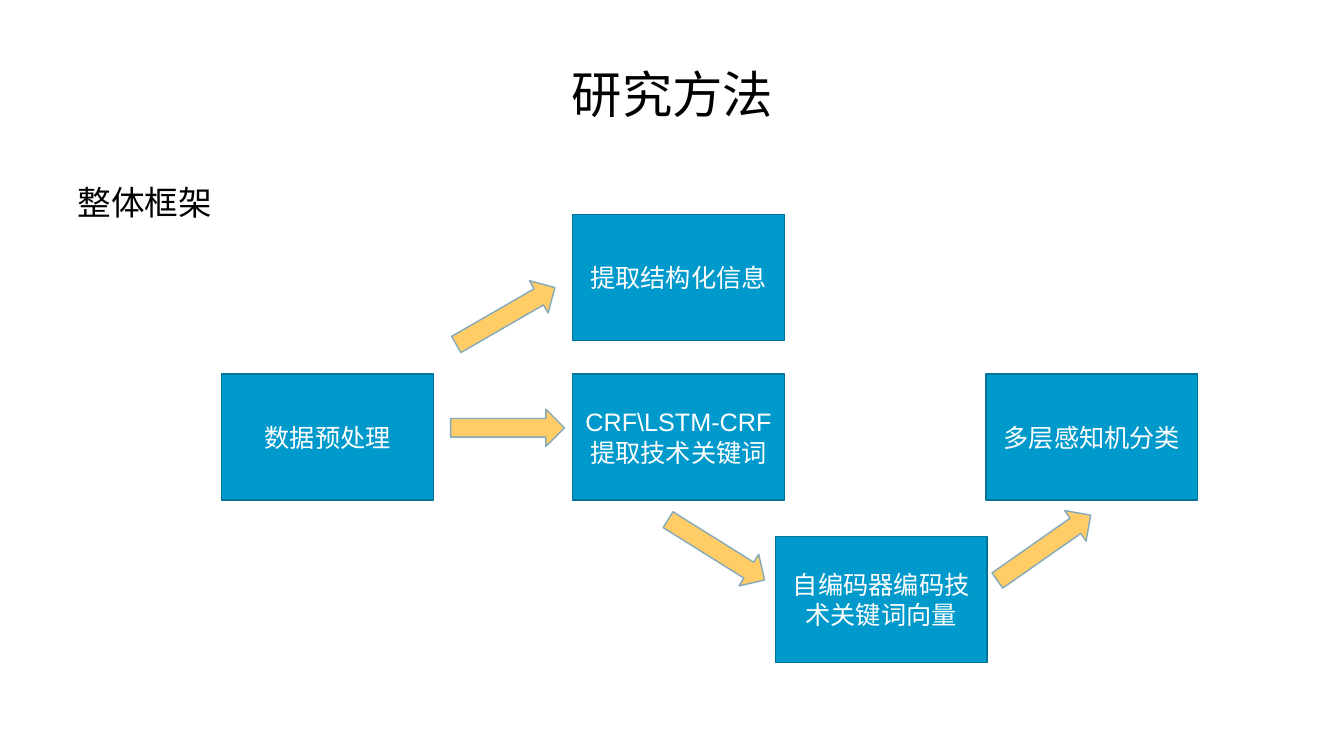
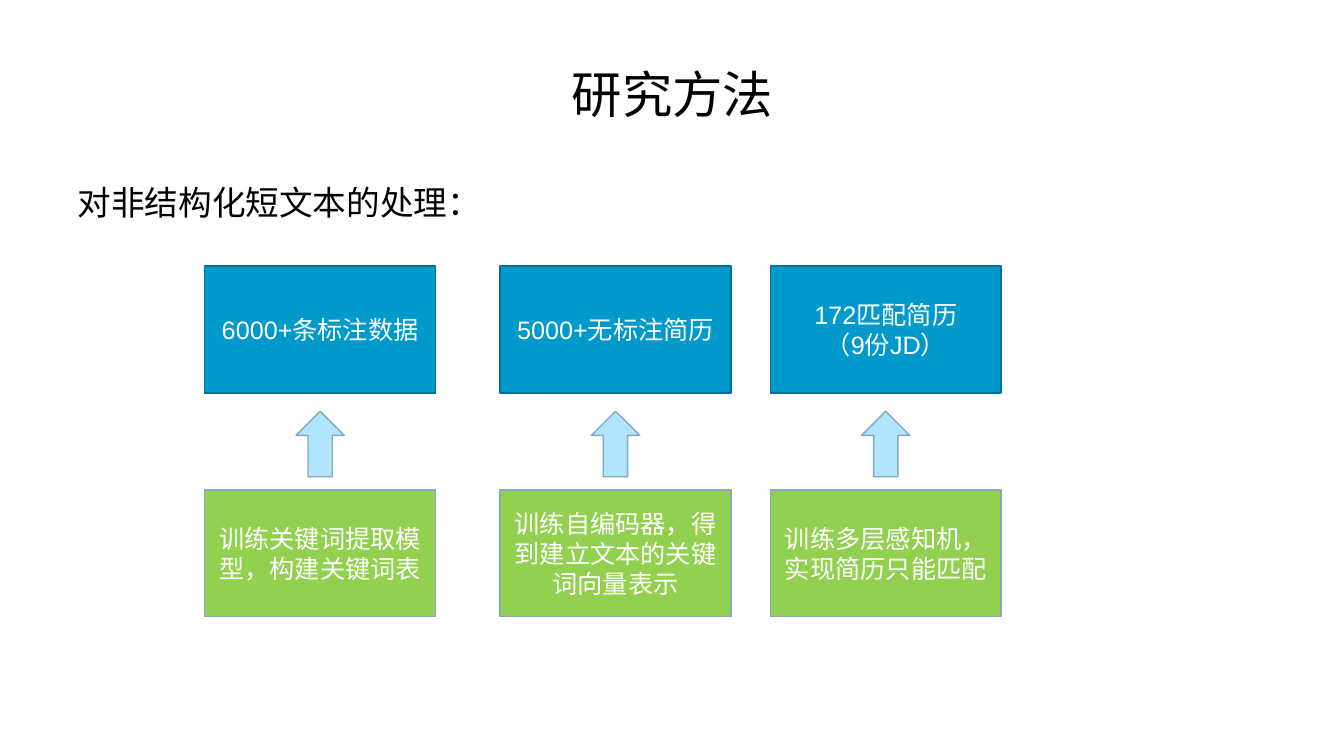
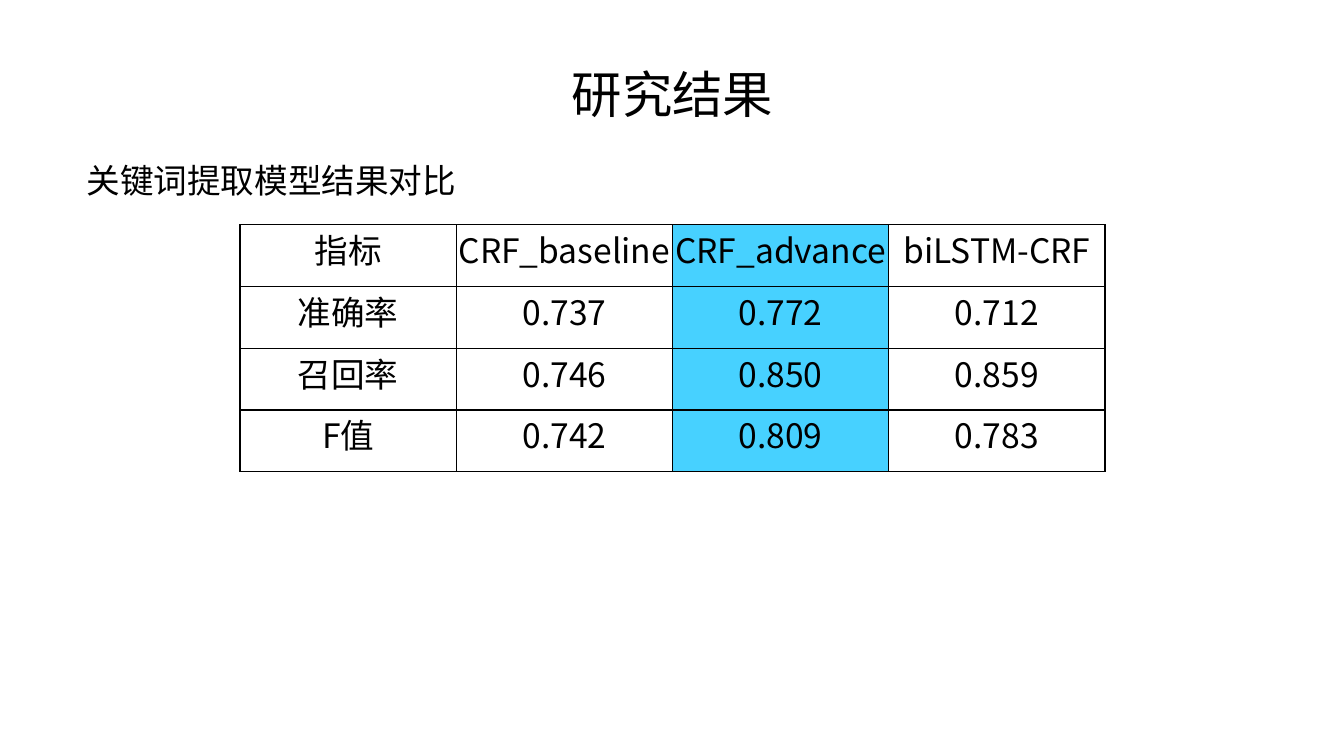
from lxml.etree import SubElement
from pptx import Presentation
from pptx.dml.color import RGBColor
from pptx.enum.shapes import MSO_SHAPE as Preset
from pptx.enum.text import MSO_ANCHOR as Anchor, MSO_AUTO_SIZE as AutoSize, PP_ALIGN as Align
from pptx.oxml.ns import qn
from pptx.util import Inches, Pt

# Shared look: (fill, outline) pairs and text formats
BLUE_BOX = ("0099CC", "007197")
GREEN_BOX = ("92D050", "83A9BD")
ORANGE_ARROW = ("FFCC66", "83A9BD")
PALE_ARROW = ("B1E4FF", "83A9BD")
WHITE, BLACK, HIGHLIGHT = "FFFFFF", "000000", "47D1FF"

TITLE_FONT = {"name": "Arial", "size": Pt(36)}
BODY_FONT = {"name": "Arial", "size": Pt(24)}
BOX_FONT = {"name": "Arial", "size": Pt(18)}
TABLE_FONT = {"name": "Noto Sans CJK SC", "size": Pt(24)}

TITLE_AREA = (0.67, 0.3, 12, 1.25)
TITLE_AND_BODY, TITLE_ONLY = 1, 5  # layout numbers


def paint(color_format, color):
    color_format.rgb = RGBColor.from_string(color)


def set_attributes(target, values):
    for name, value in values.items():
        setattr(target, name, value)


def place(shape, left, top, width, height):
    set_attributes(shape, {
        "left": Inches(left), "top": Inches(top),
        "width": Inches(width), "height": Inches(height)})


def write(text_frame, text, font, color, align):
    text_frame.text = text
    for paragraph in text_frame.paragraphs:
        paragraph.alignment = align
        set_attributes(paragraph.font, font)
        paint(paragraph.font.color, color)


def add_titled_slide(presentation, layout, title):
    slide = presentation.slides.add_slide(presentation.slide_layouts[layout])
    place(slide.shapes.title, *TITLE_AREA)
    frame = slide.shapes.title.text_frame
    write(frame, title, TITLE_FONT, BLACK, Align.CENTER)
    frame.vertical_anchor = Anchor.MIDDLE
    return slide


def fill_body(slide, text, area):
    body = slide.placeholders[1]
    place(body, *area)
    write(body.text_frame, text, BODY_FONT, BLACK, Align.LEFT)
    # Plain text without bullet or hanging indent
    for paragraph in body.text_frame.paragraphs:
        properties = paragraph._p.get_or_add_pPr()
        properties.set("marL", "0")
        properties.set("indent", "0")
        SubElement(properties, qn("a:buNone"))


def add_block(slide, preset, area, colors, text="", rotation=0):
    shape = slide.shapes.add_shape(preset, *map(Inches, area))
    fill, outline = colors
    shape.shadow.inherit = False
    shape.rotation = rotation
    shape.fill.solid()
    paint(shape.fill.fore_color, fill)
    paint(shape.line.color, outline)
    shape.line.width = Pt(1)
    if text:
        shape.text_frame.word_wrap = True
        shape.text_frame.vertical_anchor = Anchor.MIDDLE
        write(shape.text_frame, text, BOX_FONT, WHITE, Align.CENTER)


def add_framework(slide, left, top):
    """Steps of the overall pipeline, joined by block arrows."""
    steps = [
        (0, 1.58, "数据预处理"),
        (3.48, 0, "提取结构化信息"),
        (3.48, 1.58, "CRF\\LSTM-CRF\n提取技术关键词"),
        (5.49, 3.19, "自编码器编码技术关键词向量"),
        (7.58, 1.58, "多层感知机分类"),
    ]
    arrows = [(2.25, 0.82, 330), (2.27, 1.93, 0), (4.34, 3.14, 32), (7.59, 3.12, 325)]
    for x, y, text in steps:
        add_block(slide, Preset.FLOWCHART_PROCESS,
                  (left + x, top + y, 2.1, 1.25), BLUE_BOX, text)
    for x, y, rotation in arrows:
        add_block(slide, Preset.RIGHT_ARROW,
                  (left + x, top + y, 1.13, 0.37), ORANGE_ARROW, rotation=rotation)


def add_data_columns(slide, left, top):
    """Each column: data set on top, arrow, training task below."""
    width, height, arrow_width = 2.29, 1.26, 0.48
    columns = [
        (0, "6000+条标注数据", "训练关键词提取模型，构建关键词表"),
        (2.93, "5000+无标注简历", "训练自编码器，得到建立文本的关键词向量表示"),
        (5.61, "172匹配简历\n（9份JD）", "训练多层感知机，实现简历只能匹配"),
    ]
    for offset, data, task in columns:
        x = left + offset
        add_block(slide, Preset.RECTANGLE, (x, top, width, height), BLUE_BOX, data)
        add_block(slide, Preset.UP_ARROW,
                  (x + (width - arrow_width) / 2, top + 1.44, arrow_width, 0.65), PALE_ARROW)
        add_block(slide, Preset.RECTANGLE, (x, top + 2.22, width, height), GREEN_BOX, task)


def add_cell_borders(cell):
    properties = cell._tc.get_or_add_tcPr()
    for side in ("lnL", "lnR", "lnT", "lnB"):
        line = SubElement(properties, qn(f"a:{side}"), w=str(Pt(1)))
        solid = SubElement(line, qn("a:solidFill"))
        SubElement(solid, qn("a:srgbClr"), val=BLACK)


def add_results_table(slide, area):
    rows = [
        ("指标", "CRF_baseline", "CRF_advance", "biLSTM-CRF"),
        ("准确率", "0.737", "0.772", "0.712"),
        ("召回率", "0.746", "0.850", "0.859"),
        ("F值", "0.742", "0.809", "0.783"),
    ]
    best_column = 2
    table = slide.shapes.add_table(len(rows), len(rows[0]), *map(Inches, area)).table
    set_attributes(table, {"first_row": False, "horz_banding": False})
    margins = dict.fromkeys(
        ("margin_left", "margin_right", "margin_top", "margin_bottom"), 0)
    for row_index, row in enumerate(rows):
        for column_index, text in enumerate(row):
            cell = table.cell(row_index, column_index)
            set_attributes(cell, margins)
            write(cell.text_frame, text, TABLE_FONT, BLACK, Align.CENTER)
            add_cell_borders(cell)
            cell.fill.solid()
            paint(cell.fill.fore_color, HIGHLIGHT if column_index == best_column else WHITE)


def add_caption(slide, text, area):
    frame = slide.shapes.add_textbox(*map(Inches, area)).text_frame
    frame.word_wrap = False
    frame.auto_size = AutoSize.SHAPE_TO_FIT_TEXT
    write(frame, text, BODY_FONT, BLACK, Align.LEFT)


def main():
    presentation = Presentation()
    presentation.slide_width = Inches(13.33)
    presentation.slide_height = Inches(7.5)

    # Overall framework
    slide = add_titled_slide(presentation, TITLE_AND_BODY, "研究方法")
    fill_body(slide, "整体框架", (0.67, 1.75, 12, 4.95))
    add_framework(slide, 2.2, 2.13)

    # Handling of unstructured text
    slide = add_titled_slide(presentation, TITLE_AND_BODY, "研究方法")
    fill_body(slide, "对非结构化短文本的处理：", (0.67, 1.75, 12, 0.75))
    add_data_columns(slide, 2.03, 2.64)

    # Model comparison
    slide = add_titled_slide(presentation, TITLE_ONLY, "研究结果")
    add_results_table(slide, (2.38, 2.23, 8.58, 2.45))
    add_caption(slide, "关键词提取模型结果对比", (0.76, 1.54, 3.87, 0.5))

    presentation.save("out.pptx")


if __name__ == "__main__":
    main()
